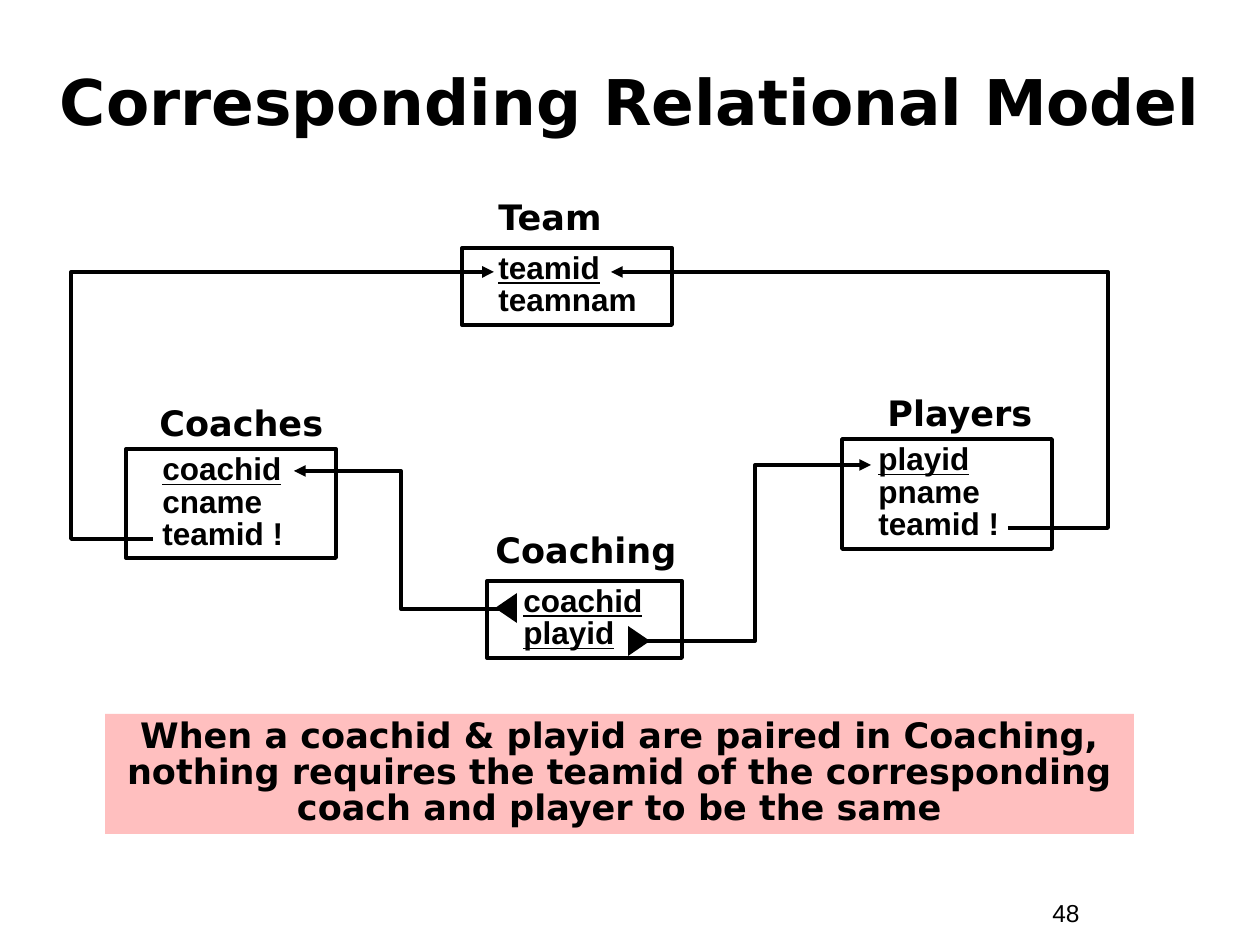
from lxml import etree
from pptx import Presentation
from pptx import util as u
from pptx.dml.color import RGBColor
from pptx.enum import shapes, text
from pptx.oxml.ns import qn

BLACK = RGBColor(0x00, 0x00, 0x00)
PINK = RGBColor(0xFF, 0xBF, 0xBF)
HEADING, BODY = "DejaVu Sans", "Arial"
PX = u.Inches(1) / 126


def px(*lengths):
    return [round(n * PX) for n in lengths]


def write(s, lines, size, name, bold=True, underlined=0, align=text.PP_ALIGN.LEFT,
          anchor=text.MSO_ANCHOR.TOP, indent=0, spacing=None):
    """Fill a shape with one paragraph a line, underlining the first few."""
    tf = s.text_frame
    tf.word_wrap, tf.vertical_anchor = True, anchor
    for i, line in enumerate(lines):
        p = tf.paragraphs[0] if i == 0 else tf.add_paragraph()
        p.alignment, p.line_spacing = align, spacing
        if indent:
            p._p.get_or_add_pPr().set("marL", str(px(indent)[0]))
        r = p.add_run()
        r.text = line
        font = {"name": name, "size": u.Pt(size), "bold": bold, "underline": i < underlined}
        for key, value in font.items():
            setattr(r.font, key, value)
        r.font.color.rgb = BLACK


prs = Presentation()
prs.slide_width, prs.slide_height = px(1260, 945)
slide = prs.slides.add_slide(prs.slide_layouts[6])

# Title and page number
title = slide.shapes.add_textbox(*px(42, 42, 1176, 116))
write(title, ["Corresponding Relational Model"], 36, HEADING,
      align=text.PP_ALIGN.CENTER, anchor=text.MSO_ANCHOR.MIDDLE)
number = slide.shapes.add_textbox(*px(1040, 892, 116, 43))
write(number, ["48"], 14, BODY, bold=False)

# Tables: name, name position and width, box, fields, number of key fields
tables = [
    ("Team", (486, 189, 158), (462, 248, 210, 77), ["teamid", "teamnam"], 1),
    ("Coaches", (147, 395, 271), (126, 449, 210, 109), ["coachid", "cname", "teamid !"], 1),
    ("Players", (875, 385, 199), (842, 439, 210, 110), ["playid", "pname", "teamid !"], 1),
    ("Coaching", (483, 522, 214), (487, 581, 195, 77), ["coachid", "playid"], 2),
]
for name, label, box, fields, keys in tables:
    tb = slide.shapes.add_textbox(*px(*label, 55))
    write(tb, [name], 20, HEADING)
    s = slide.shapes.add_shape(shapes.MSO_SHAPE.RECTANGLE, *px(*box))
    s.shadow.inherit = False
    s.fill.background()
    s.line.color.rgb, s.line.width = BLACK, u.Pt(2.25)
    write(s, fields, 18, BODY, underlined=keys, indent=24, spacing=0.85)

# Foreign keys: start, x of the upright part, end
links = [
    ((508, 609), 401, (294, 471)),
    ((153, 539), 71, (494, 272)),
    ((1008, 528), 1108, (611, 272)),
    ((640, 641), 755, (871, 465)),
]
for start, bend, end in links:
    c = slide.shapes.add_connector(shapes.MSO_CONNECTOR.ELBOW, *px(*start, *end))
    c.line.color.rgb, c.line.width = BLACK, u.Pt(2.25)
    ratio = round(100000 * (bend - start[0]) / (end[0] - start[0]))
    guides = c._element.spPr.find(qn("a:prstGeom")).get_or_add_avLst()
    etree.SubElement(guides, qn("a:gd"), name="adj1", fmla=f"val {ratio}")
    etree.SubElement(c.line._get_or_add_ln(), qn("a:tailEnd"), type="triangle")
    etree.SubElement(c._element.spPr, qn("a:effectLst"))

# Solid triangles where the links leave Coaching
for left, top, turn in [(491, 597, 270), (624, 630, 90)]:
    s = slide.shapes.add_shape(shapes.MSO_SHAPE.ISOSCELES_TRIANGLE, *px(left, top, 30, 22))
    s.rotation = turn
    s.shadow.inherit = False
    s.fill.solid()
    s.fill.fore_color.rgb = BLACK
    s.line.fill.background()

# Remark
remark = slide.shapes.add_shape(shapes.MSO_SHAPE.RECTANGLE, *px(105, 714, 1029, 120))
remark.shadow.inherit = False
remark.fill.solid()
remark.fill.fore_color.rgb = PINK
remark.line.fill.background()
write(remark, ["When a coachid & playid are paired in Coaching, nothing requires the teamid "
               "of the corresponding coach and player to be the same"],
      20, HEADING, align=text.PP_ALIGN.CENTER, spacing=0.85)

prs.save("out.pptx")
